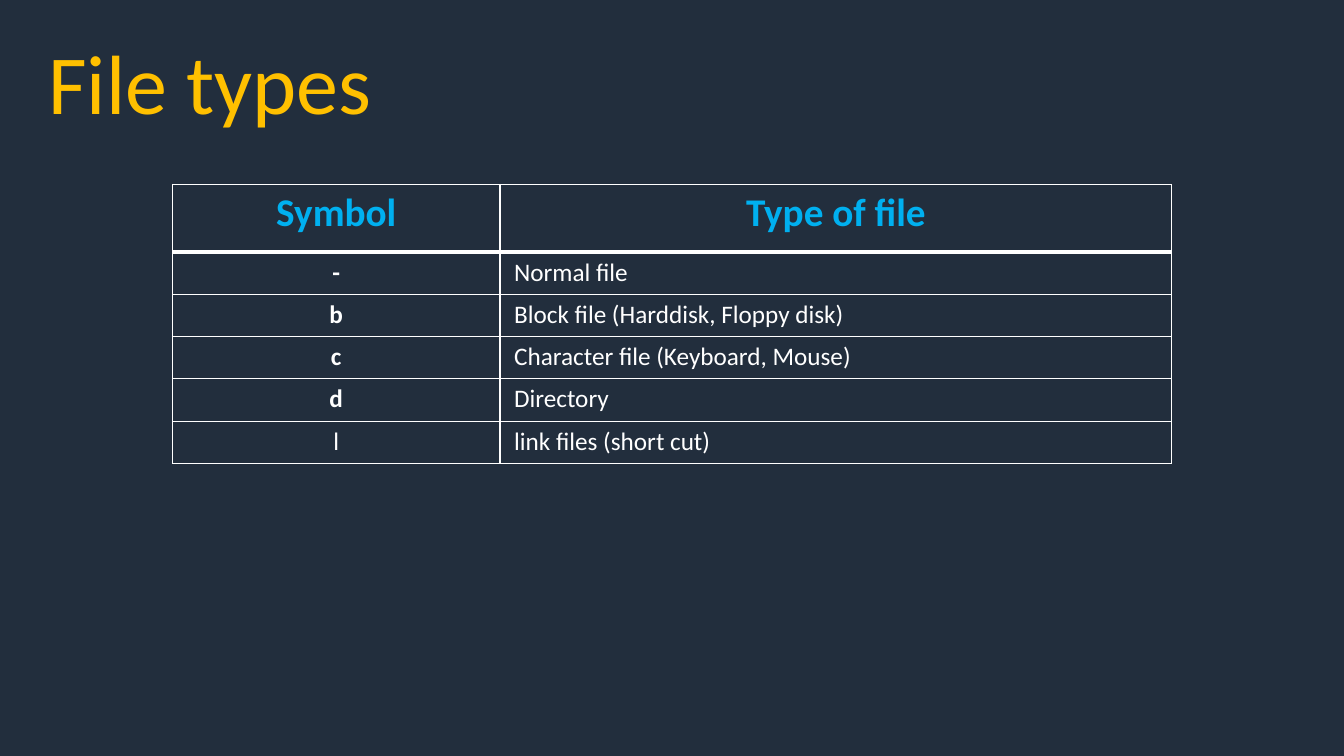
from lxml import etree
from pptx import Presentation, util as u
from pptx.dml.color import RGBColor
from pptx.enum import text
from pptx.oxml import ns

COLORS = {"background": "222E3D", "title": "FFC000", "header": "00B0F0", "body": "FFFFFF"}
FILE_TYPES = [
    ("-", "Normal file"),
    ("b", "Block file (Harddisk, Floppy disk)"),
    ("c", "Character file (Keyboard, Mouse)"),
    ("d", "Directory"),
    ("l", "link files (short cut)"),
]
PLAIN_SYMBOL = "l"


class Deck:
    font = "Calibri"
    thin, thick = 1, 3

    def __init__(self, width, height):
        self.prs = Presentation()
        self.prs.slide_width, self.prs.slide_height = u.Inches(width), u.Inches(height)
        self.slide = self.prs.slides.add_slide(self.prs.slide_layouts[6])
        fill = self.slide.background.fill
        fill.solid()
        fill.fore_color.rgb = RGBColor.from_string(COLORS["background"])

    def x(self, share):
        return round(self.prs.slide_width * share)

    def y(self, share):
        return round(self.prs.slide_height * share)

    def add_words(self, paragraph, words, size, color, bold=False, centred=False):
        paragraph.alignment = text.PP_ALIGN.CENTER if centred else text.PP_ALIGN.LEFT
        run = paragraph.add_run()
        run.text = words
        run.font.name, run.font.size, run.font.bold = self.font, u.Pt(size), bold
        run.font.color.rgb = RGBColor.from_string(COLORS[color])

    def title(self, words, top, height, indent):
        box = self.slide.shapes.add_textbox(0, self.y(top), self.x(1), self.y(height))
        frame = box.text_frame
        frame.word_wrap = True
        frame.margin_left = u.Inches(indent)
        self.add_words(frame.paragraphs[0], words, 60, "title")

    def borders(self, cell, top, bottom):
        props = cell._tc.get_or_add_tcPr()
        widths = {"lnL": self.thin, "lnR": self.thin, "lnT": top, "lnB": bottom}
        for side, width in widths.items():
            line = etree.SubElement(props, ns.qn(f"a:{side}"), w=str(u.Pt(width)))
            fill = etree.SubElement(line, ns.qn("a:solidFill"))
            etree.SubElement(fill, ns.qn("a:srgbClr"), val=COLORS["body"])

    def table(self, header, rows, left, top, columns, header_height, row_height):
        heights = [header_height] + [row_height] * len(rows)
        grid = self.slide.shapes.add_table(
            len(heights), len(columns), self.x(left), self.y(top),
            self.x(sum(columns)), self.y(sum(heights))).table
        grid.horz_banding = False
        for column, share in zip(grid.columns, columns):
            column.width = self.x(share)
        for row, share in zip(grid.rows, heights):
            row.height = self.y(share)
        for r, entries in enumerate([header] + rows):
            for c, words in enumerate(entries):
                cell = grid.cell(r, c)
                self.borders(cell, self.thick if r == 1 else self.thin,
                             self.thick if r == 0 else self.thin)
                cell.fill.background()
                paragraph = cell.text_frame.paragraphs[0]
                if r == 0:
                    self.add_words(paragraph, words, 28, "header", True, True)
                elif c == 0:
                    self.add_words(paragraph, words, 18, "body", words != PLAIN_SYMBOL, True)
                else:
                    cell.margin_left = u.Inches(0.14)
                    self.add_words(paragraph, words, 18, "body")


def main():
    width, height = 13.33, 7.5
    deck = Deck(width, height)
    deck.title("File types", top=0.25 / height, height=1.11 / height, indent=0.48)
    deck.table(("Symbol", "Type of file"), FILE_TYPES, left=1.71 / width, top=1.83 / height,
               columns=(3.25 / width, 6.66 / width),
               header_height=0.67 / height, row_height=0.42 / height)
    deck.prs.save("out.pptx")


if __name__ == "__main__":
    main()
